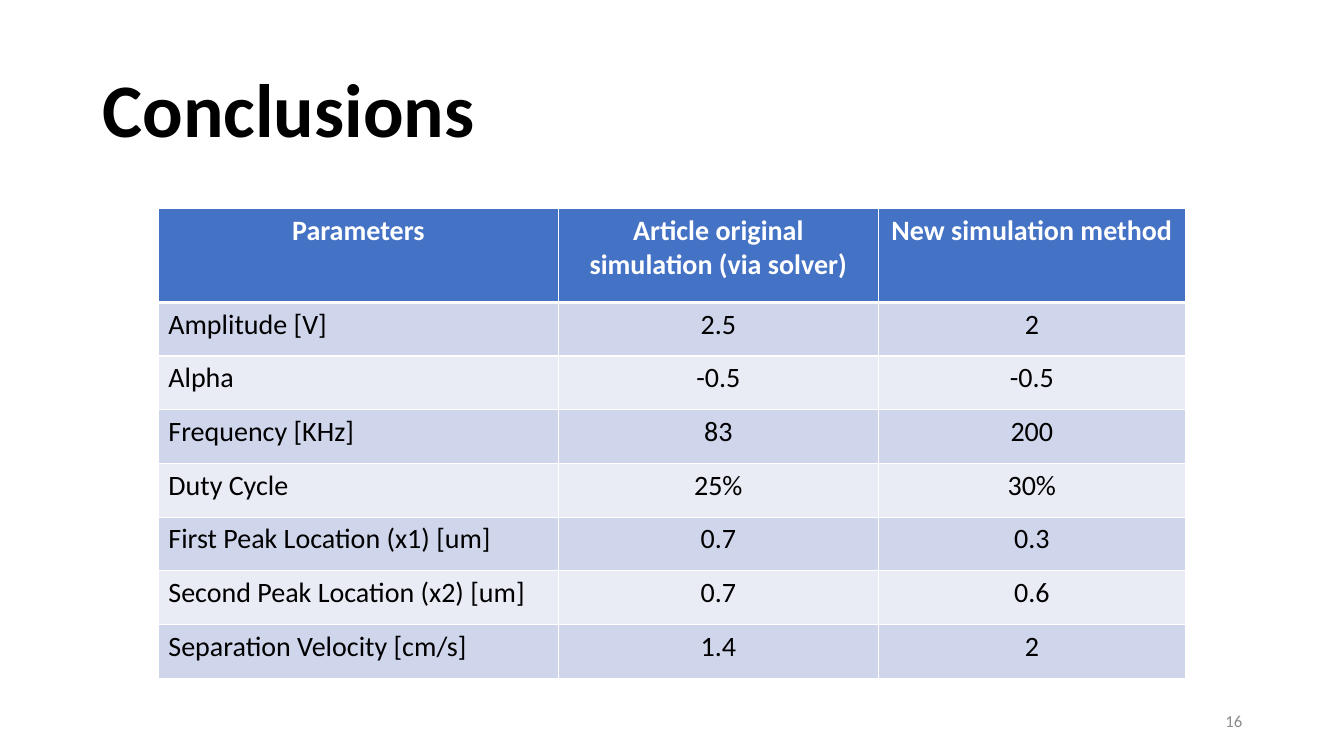
import pptx
import pptx.util
import pptx.dml.color
import pptx.enum.text
import pptx.oxml
import pptx.oxml.ns

Inches = pptx.util.Inches
ALIGN = pptx.enum.text.PP_ALIGN
COLORS = {"ink": "000000", "white": "FFFFFF", "header": "4472C4",
          "odd": "CFD5EA", "even": "E9EBF5", "number": "8C8C8C"}
COLUMN_WIDTHS = (3.97, 3.17, 3.05)
HEADER_HEIGHT = 0.93
ROWS = (
    ("Parameters", "Article original simulation (via solver)", "New simulation method"),
    ("Amplitude [V]", "2.5", "2"),
    ("Alpha", "-0.5", "-0.5"),
    ("Frequency [KHz]", "83", "200"),
    ("Duty Cycle", "25%", "30%"),
    ("First Peak Location (x1) [um]", "0.7", "0.3"),
    ("Second Peak Location (x2) [um]", "0.7", "0.6"),
    ("Separation Velocity [cm/s]", "1.4", "2"),
)


def color(name):
    """Return the named colour."""
    return pptx.dml.color.RGBColor.from_string(COLORS[name])


def style(para, size, ink, bold=False, align=ALIGN.LEFT):
    """Set the font and alignment of a paragraph."""
    para.alignment = align
    para.font.name = "Calibri"
    para.font.size = pptx.util.Pt(size)
    para.font.bold = bold
    para.font.color.rgb = color(ink)


def add_text(page, box, text, size, ink, **options):
    """Place one vertically centred line of text in a box and return its paragraph."""
    frame = page.shapes.add_textbox(*map(Inches, box)).text_frame
    frame.word_wrap = True
    frame.vertical_anchor = pptx.enum.text.MSO_ANCHOR.MIDDLE
    para = frame.paragraphs[0]
    para.text = text
    style(para, size, ink, **options)
    return para


def add_borders(cell, widths):
    """Draw white cell borders, with widths in points keyed by side."""
    properties = cell._tc.get_or_add_tcPr()
    for side, width in widths.items():
        properties.append(pptx.oxml.parse_xml(
            f'<a:ln{side} {pptx.oxml.ns.nsdecls("a")} w="{pptx.util.Pt(width)}">'
            f'<a:solidFill><a:srgbClr val="{COLORS["white"]}"/></a:solidFill></a:ln{side}>'))


def add_parameters(page, box):
    """Place the parameter table in a box, with a tall header and equal body rows."""
    table = page.shapes.add_table(len(ROWS), len(COLUMN_WIDTHS), *map(Inches, box)).table
    for column, width in zip(table.columns, COLUMN_WIDTHS):
        column.width = Inches(box[2] * width / sum(COLUMN_WIDTHS))
    body_height = (box[3] - HEADER_HEIGHT) / (len(ROWS) - 1)
    for r, texts in enumerate(ROWS):
        header = r == 0
        table.rows[r].height = Inches(HEADER_HEIGHT if header else body_height)
        fill = "header" if header else "odd" if r % 2 else "even"
        for c, text in enumerate(texts):
            cell = table.cell(r, c)
            add_borders(cell, {"L": 1, "R": 1, "T": 3 if r == 1 else 1, "B": 3 if header else 1})
            cell.fill.solid()
            cell.fill.fore_color.rgb = color(fill)
            cell.text = text
            style(cell.text_frame.paragraphs[0], 20, "white" if header else "ink", header,
                  ALIGN.CENTER if header or c else ALIGN.LEFT)


def add_conclusions(deck):
    """Add the conclusions slide with its title, page number and table."""
    page = deck.slides.add_slide(deck.slide_layouts[6])
    title = add_text(page, (0.92, 0.4, 11.5, 1.45), "Conclusions", 54, "ink", bold=True)
    title.line_spacing = 0.9
    add_text(page, (9.42, 6.95, 3, 0.4), "16", 12, "number", align=ALIGN.RIGHT)
    add_parameters(page, (1.57, 2.07, 10.19, 4.66))


def main():
    """Build and save the deck."""
    deck = pptx.Presentation()
    deck.slide_width, deck.slide_height = Inches(13.33), Inches(7.5)
    add_conclusions(deck)
    deck.save("out.pptx")


if __name__ == "__main__":
    main()
